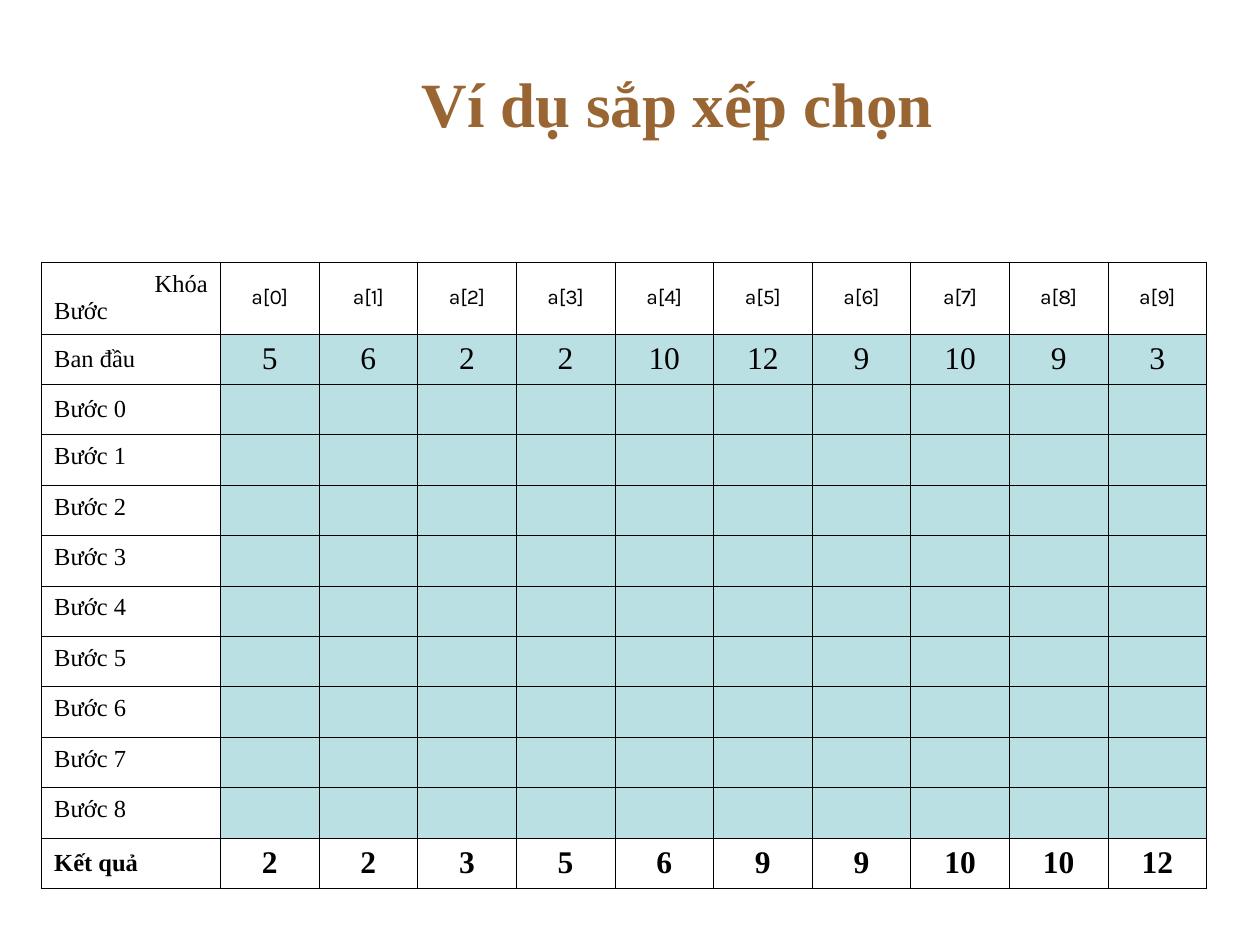
"""Build a slide with a worked example table of selection sort."""
from dataclasses import dataclass
from typing import Optional

from lxml.etree import SubElement
from pptx import Presentation
from pptx.dml.color import RGBColor
from pptx.enum.text import MSO_ANCHOR, PP_ALIGN
from pptx.oxml.ns import qn
from pptx.slide import Slide
from pptx.table import _Cell
from pptx.util import Inches, Pt

BROWN = RGBColor(0x99, 0x66, 0x33)
BLACK = RGBColor(0x00, 0x00, 0x00)
PALE_TEAL = RGBColor(0xBB, 0xE0, 0xE3)
SERIF = "Times New Roman"
SANS = "Karla"
KEY_COUNT = 10
TABLE_WIDTH, LABEL_WIDTH = 9.25, 1.42
HEADER_HEIGHT, ROW_HEIGHT = 0.57, 0.4
BORDER_WIDTH = Pt(0.45)


@dataclass
class TextStyle:
    size: float
    name: str = SERIF
    color: RGBColor = BLACK
    bold: bool = False
    alignment: PP_ALIGN = PP_ALIGN.CENTER
    line_spacing: float = 1.0


@dataclass
class SortRow:
    label: str
    values: list
    value_style: TextStyle
    label_spacing: float = 1.0
    fill: Optional[RGBColor] = None


def format_paragraph(paragraph, style: TextStyle) -> None:
    paragraph.alignment = style.alignment
    paragraph.line_spacing = style.line_spacing
    for run in paragraph.runs:
        values = {"size": Pt(style.size), "name": style.name, "bold": style.bold}
        for attribute, value in values.items():
            setattr(run.font, attribute, value)
        run.font.color.rgb = style.color


def draw_borders(cell: _Cell) -> None:
    properties = cell._tc.get_or_add_tcPr()
    for position, side in enumerate(("a:lnL", "a:lnR", "a:lnT", "a:lnB")):
        line = SubElement(properties, qn(side), w=str(BORDER_WIDTH))
        fill = SubElement(line, qn("a:solidFill"))
        SubElement(fill, qn("a:srgbClr"), val=str(BLACK))
        properties.insert(position, line)


def fill_cell(cell: _Cell, text: str, style: TextStyle, fill: Optional[RGBColor] = None) -> None:
    cell.vertical_anchor = MSO_ANCHOR.MIDDLE
    if fill is None:
        cell.fill.background()
    else:
        cell.fill.solid()
        cell.fill.fore_color.rgb = fill
    draw_borders(cell)
    paragraph = cell.text_frame.paragraphs[0]
    if text:
        paragraph.add_run().text = text
        format_paragraph(paragraph, style)
    else:
        SubElement(paragraph._p, qn("a:endParaRPr"), sz="1400")


def add_title(slide: Slide, text: str) -> None:
    title = slide.shapes.title
    position = {"left": 1.25, "top": 0.3, "width": 8.25, "height": 1.03}
    for attribute, value in position.items():
        setattr(title, attribute, Inches(value))
    title.text_frame.text = text
    title.text_frame.vertical_anchor = MSO_ANCHOR.MIDDLE
    format_paragraph(title.text_frame.paragraphs[0], TextStyle(36, color=BROWN, bold=True))


def add_sort_table(slide: Slide, rows: list[SortRow]) -> None:
    height = HEADER_HEIGHT + ROW_HEIGHT * (len(rows) - 1)
    table = slide.shapes.add_table(
        len(rows), KEY_COUNT + 1,
        Inches(0.33), Inches(2.08), Inches(TABLE_WIDTH), Inches(height),
    ).table
    table.first_row = table.horz_banding = False
    for index, column in enumerate(table.columns):
        key_width = (TABLE_WIDTH - LABEL_WIDTH) / KEY_COUNT
        column.width = Inches(key_width if index else LABEL_WIDTH)
    for index, row in enumerate(rows):
        table.rows[index].height = Inches(ROW_HEIGHT if index else HEADER_HEIGHT)
        label_style = TextStyle(
            14, bold=row.value_style.bold,
            alignment=PP_ALIGN.JUSTIFY, line_spacing=row.label_spacing,
        )
        fill_cell(table.cell(index, 0), row.label, label_style)
        for column, value in enumerate(row.values, start=1):
            fill_cell(table.cell(index, column), str(value), row.value_style, row.fill)

    corner = table.cell(0, 0).text_frame
    corner.paragraphs[0].alignment = PP_ALIGN.RIGHT
    step_heading = corner.add_paragraph()
    step_heading.add_run().text = "Bước"
    format_paragraph(step_heading, TextStyle(14, alignment=PP_ALIGN.JUSTIFY))


def main() -> None:
    presentation = Presentation()
    presentation.slide_width, presentation.slide_height = Inches(10), Inches(7.5)
    slide = presentation.slides.add_slide(presentation.slide_layouts[5])
    add_title(slide, "Ví dụ sắp xếp chọn")

    keys = [5, 6, 2, 2, 10, 12, 9, 10, 9, 3]
    number_style = TextStyle(18)
    header = SortRow("Khóa", [f"a[{key}]" for key in range(KEY_COUNT)], TextStyle(12, SANS))
    initial = SortRow("Ban đầu", keys, number_style, fill=PALE_TEAL)
    steps = [
        SortRow(f"Bước {step}", [""] * KEY_COUNT, number_style, 0.6 if step else 1.0, PALE_TEAL)
        for step in range(KEY_COUNT - 1)
    ]
    result = SortRow("Kết quả", sorted(keys), TextStyle(18, bold=True))
    add_sort_table(slide, [header, initial, *steps, result])
    presentation.save("out.pptx")


if __name__ == "__main__":
    main()
